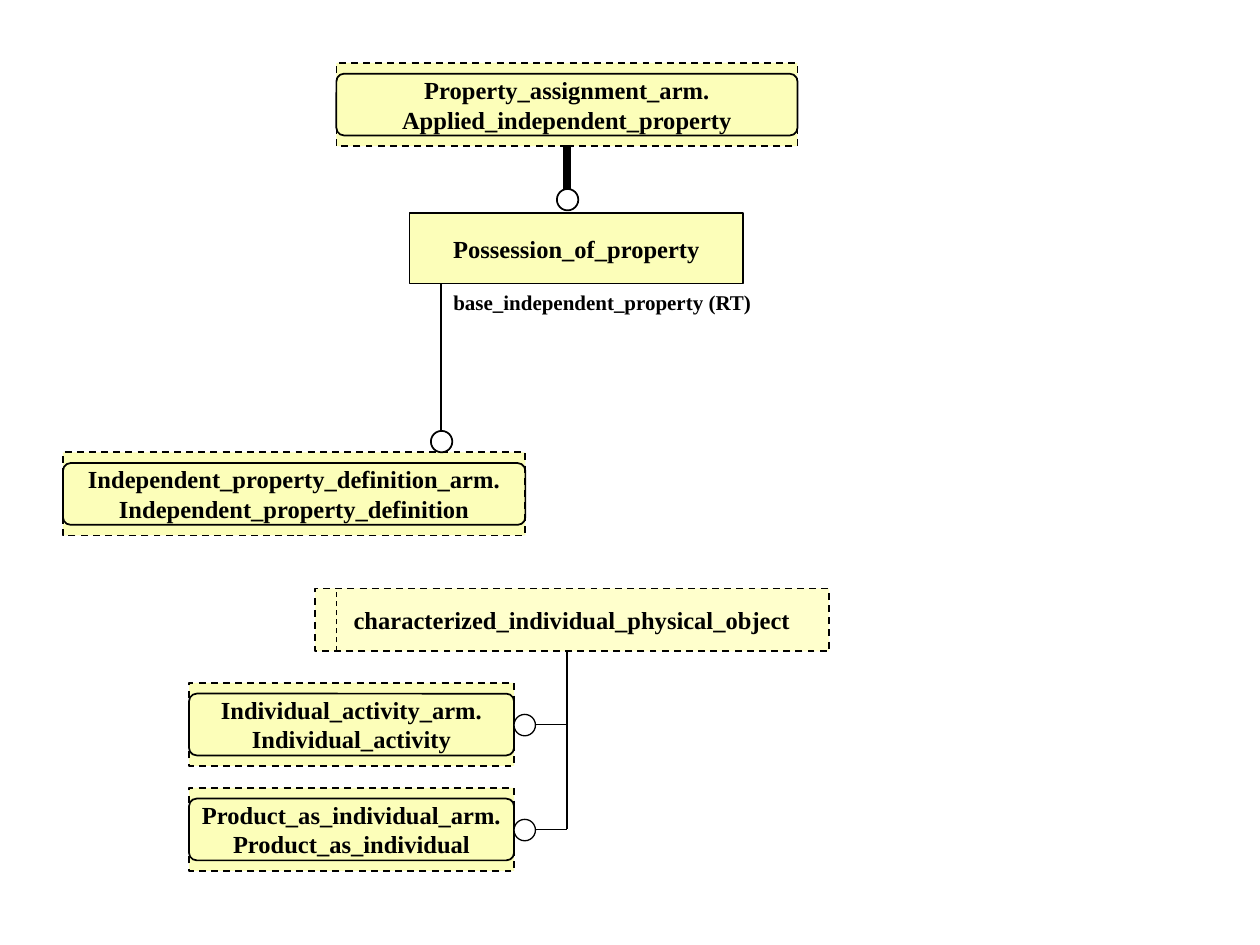
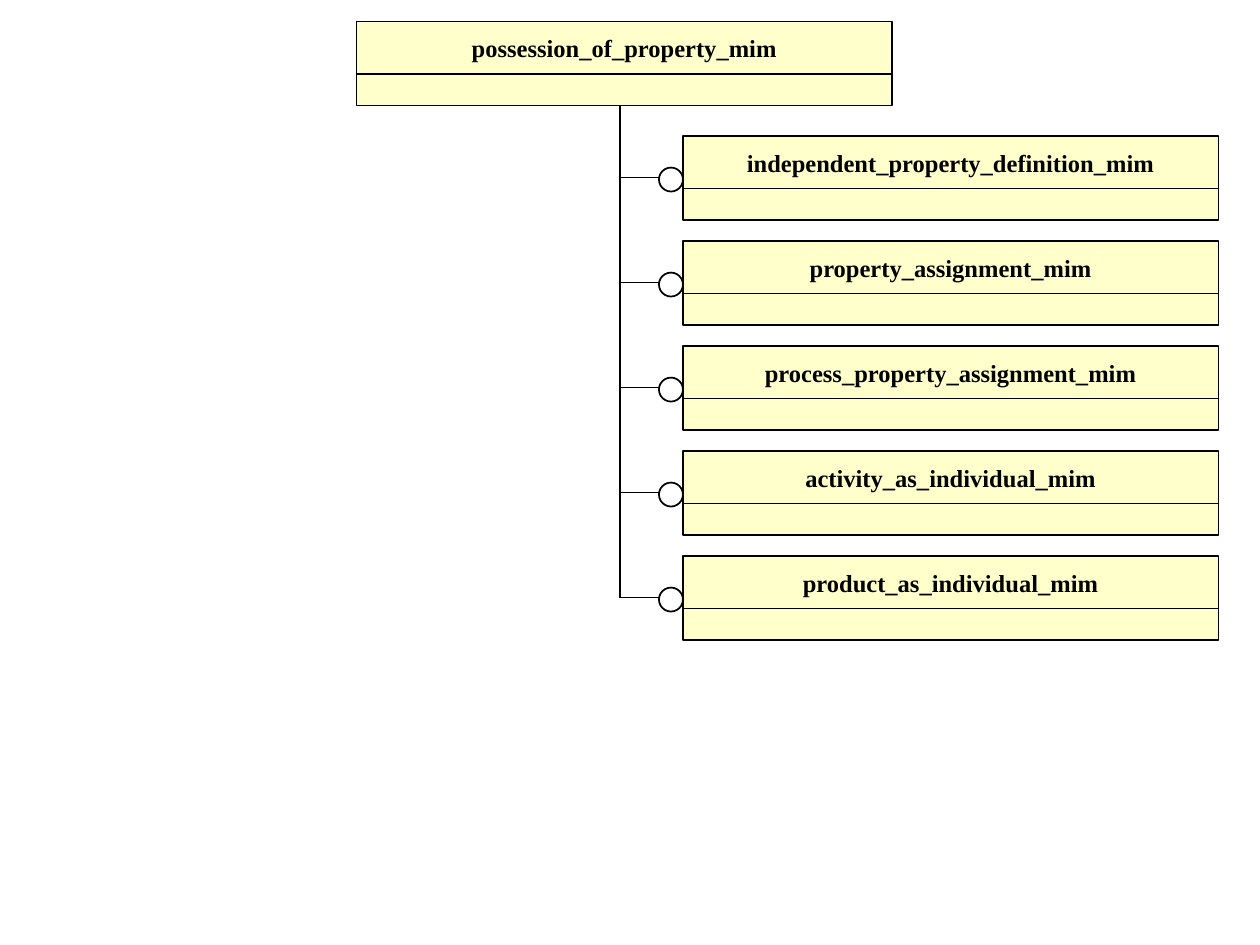
from pptx import Presentation
from pptx.dml.color import RGBColor
from pptx.enum.dml import MSO_LINE
from pptx.enum.shapes import MSO_CONNECTOR, MSO_SHAPE
from pptx.enum.text import MSO_ANCHOR, MSO_AUTO_SIZE, PP_ALIGN
from pptx.oxml.ns import qn
from pptx.util import Inches, Pt
from lxml.etree import SubElement

FONT = "Times New Roman"
COLORS = {
    "ink": "000000",
    "entity": "FCFEB9",
    "schema": "FFFFCC",
    "circle": "FFFFFF",
}
ROW_PITCH = 5 / 6


def color(name):
    return RGBColor.from_string(COLORS[name])


def style_line(line, width, dashed=False):
    line.color.rgb = color("ink")
    line.width = Pt(width)
    if dashed:
        line.dash_style = MSO_LINE.DASH


def write_lines(text_frame, lines, size=14, alignment=PP_ALIGN.CENTER):
    text_frame.word_wrap = False
    for index, line in enumerate(lines):
        paragraph = text_frame.paragraphs[0] if index == 0 else text_frame.add_paragraph()
        paragraph.alignment = alignment
        run = paragraph.add_run()
        run.text = line
        run.font.name = FONT
        run.font.size = Pt(size)
        run.font.bold = True
        run.font.color.rgb = color("ink")


def add_box(shapes, kind, left, top, width, height, fill=None, lines=(),
            line_width=1, dashed=False):
    shape = shapes.add_shape(kind, Inches(left), Inches(top), Inches(width), Inches(height))
    shape.shadow.inherit = False
    if fill:
        shape.fill.solid()
        shape.fill.fore_color.rgb = color(fill)
    else:
        shape.fill.background()
    style_line(shape.line, line_width, dashed)
    shape.text_frame.vertical_anchor = MSO_ANCHOR.MIDDLE
    write_lines(shape.text_frame, lines)
    return shape


def add_line(slide, start, end, width=0.75, dashed=False):
    connector = slide.shapes.add_connector(
        MSO_CONNECTOR.STRAIGHT, *(Inches(value) for value in (*start, *end)))
    style_line(connector.line, width, dashed)
    SubElement(connector._element.spPr, qn("a:effectLst"))
    return connector


def add_circle(slide, left, top, diameter=0.17, line_width=1):
    add_box(slide.shapes, MSO_SHAPE.OVAL, left, top, diameter, diameter,
            "circle", line_width=line_width)


def add_label(slide, left, top, width, height, text):
    box = slide.shapes.add_textbox(Inches(left), Inches(top), Inches(width), Inches(height))
    write_lines(box.text_frame, [text], 12, PP_ALIGN.LEFT)
    box.text_frame.auto_size = MSO_AUTO_SIZE.SHAPE_TO_FIT_TEXT


def add_entity_reference(slide, left, top, width, schema, entity):
    group = slide.shapes.add_group_shape()
    frame = add_box(group.shapes, MSO_SHAPE.RECTANGLE, left, top, width, 0.66,
                    "entity", [f"{schema}.", entity], dashed=True)
    inner = add_box(group.shapes, MSO_SHAPE.ROUNDED_RECTANGLE,
                    left, top + 0.085, width, 0.49)
    inner.adjustments[0] = 0.125
    return frame


def add_schema(slide, left, top, name):
    group = slide.shapes.add_group_shape()
    add_box(group.shapes, MSO_SHAPE.RECTANGLE, left, top, 4.25, 5 / 12,
            "schema", [name], 0.75)
    add_box(group.shapes, MSO_SHAPE.RECTANGLE, left, top + 5 / 12, 4.25, 0.25,
            "schema", line_width=0.75)


def build_entity_slide(slide):
    add_box(slide.shapes, MSO_SHAPE.RECTANGLE, 3.25, 1.69, 2.65, 0.56,
            "entity", ["Possession_of_property"])
    add_entity_reference(slide, 0.5, 3.59, 3.67,
                         "Independent_property_definition_arm",
                         "Independent_property_definition")
    add_line(slide, (3.5, 2.25), (3.5, 3.42))
    add_label(slide, 3.5, 2.25, 2.57, 0.3, "base_independent_property (RT)")
    add_circle(slide, 3.42, 3.42)

    supertype = add_entity_reference(slide, 2.67, 0.5, 3.66,
                                     "Property_assignment_arm",
                                     "Applied_independent_property")
    add_circle(slide, 4.42, 1.5)
    add_line(slide, (4.5, 1.5), (4.5, 1.16), 4.5).end_connect(supertype, 2)

    add_box(slide.shapes, MSO_SHAPE.RECTANGLE, 2.5, 4.67, 4.08, 0.5, "schema",
            ["characterized_individual_physical_object"], dashed=True)
    add_line(slide, (2.67, 5.17), (2.67, 4.67), dashed=True)

    members = [
        ("Individual_activity_arm", "Individual_activity"),
        ("Product_as_individual_arm", "Product_as_individual"),
    ]
    for row, (schema, entity) in enumerate(members):
        top = 5.42 + row * ROW_PITCH
        branch = top + 0.33
        add_entity_reference(slide, 1.5, top, 2.58, schema, entity)
        add_circle(slide, 4.08, top + 0.25, line_width=0.75)
        add_line(slide, (4.25, branch), (4.5, branch))
    add_line(slide, (4.5, branch), (4.5, 5.17), 1)


def build_schema_slide(slide):
    add_schema(slide, 2.83, 0.17, "possession_of_property_mim")
    used_schemas = [
        "independent_property_definition_mim",
        "property_assignment_mim",
        "process_property_assignment_mim",
        "activity_as_individual_mim",
        "product_as_individual_mim",
    ]
    for row, name in enumerate(used_schemas):
        top = 1.08 + row * ROW_PITCH
        branch = top + 0.33
        add_schema(slide, 5.42, top, name)
        add_line(slide, (4.92, branch), (5.25, branch))
        add_circle(slide, 5.23, top + 0.25, 0.19)
    add_line(slide, (4.92, branch), (4.92, 0.83))


def main():
    presentation = Presentation()
    presentation.slide_width = Inches(10)
    presentation.slide_height = Inches(7.5)
    blank = presentation.slide_layouts[6]
    for build in (build_entity_slide, build_schema_slide):
        build(presentation.slides.add_slide(blank))
    presentation.save("out.pptx")


if __name__ == "__main__":
    main()
